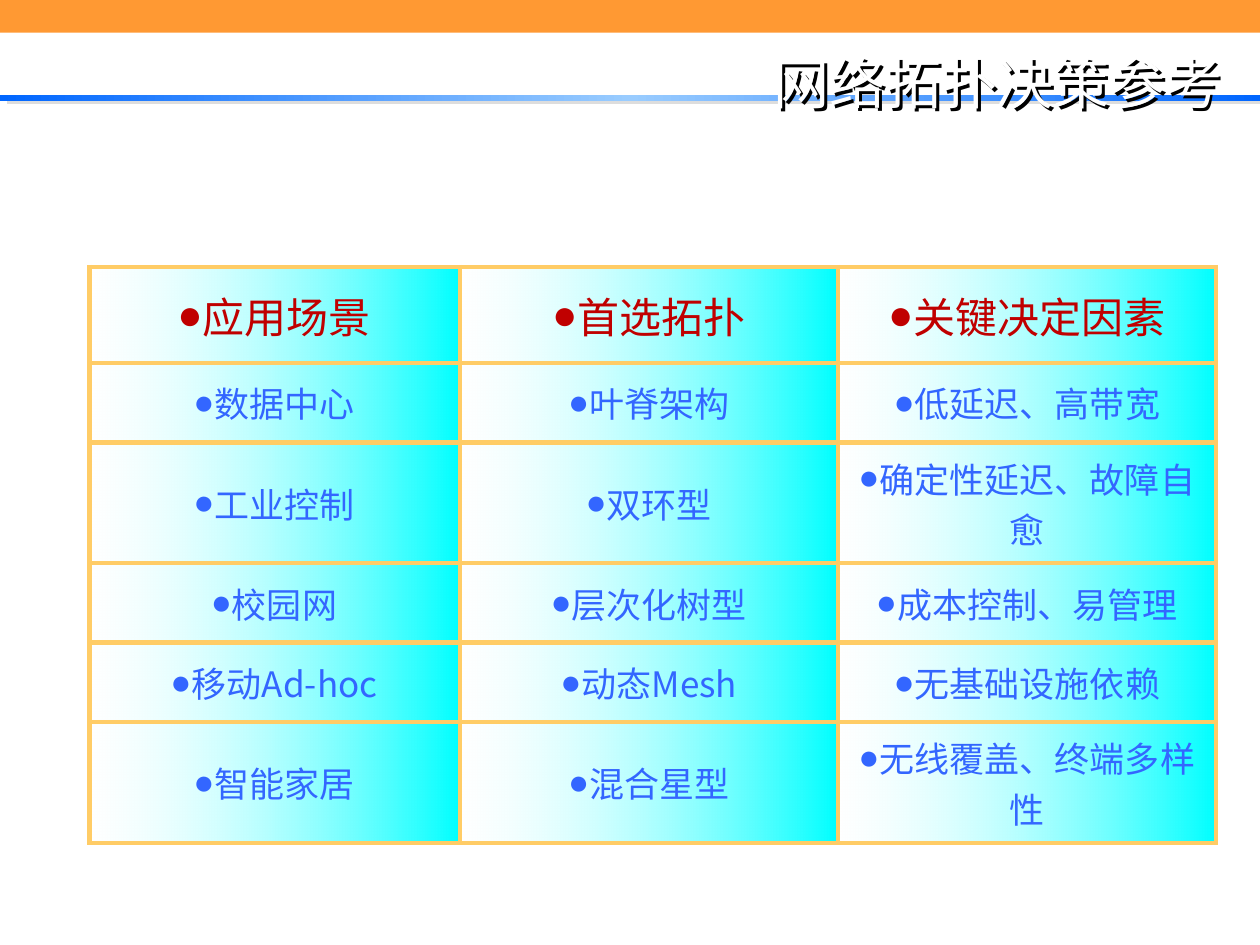
"""Build the network topology decision slide."""
from pptx import Presentation
from pptx.dml.color import RGBColor
from pptx.enum.shapes import MSO_SHAPE as Preset
from pptx.enum.text import MSO_ANCHOR as Anchor, PP_ALIGN as Align
from pptx.oxml import parse_xml
from pptx.oxml.ns import nsdecls
from pptx.util import Inches, Pt


def color(value):
    return RGBColor.from_string(value)


def write(frame, text, size, ink, align, font="Noto Sans CJK SC", bullet=False):
    para = frame.paragraphs[0]
    para.alignment = align
    if bullet:
        props = para._p.get_or_add_pPr()
        props.set("marL", "0")
        props.set("indent", "0")
        props.append(parse_xml(f'<a:buFont {nsdecls("a")} typeface="Arial"/>'))
        props.append(parse_xml(f'<a:buChar {nsdecls("a")} char="●"/>'))
    span = para.add_run()
    span.text = text
    span.font.size = Pt(size)
    span.font.color.rgb = color(ink)
    span.font.name = font
    span._r.rPr.append(parse_xml(f'<a:ea {nsdecls("a")} typeface="Noto Sans CJK SC"/>'))


GRADIENT = f'<a:gradFill {nsdecls("a")} rotWithShape="1"><a:gsLst>%s</a:gsLst><a:lin ang="0" scaled="1"/></a:gradFill>'
SHADOW = (f'<a:effectLst {nsdecls("a")}><a:outerShdw dist="%d" dir="%d" algn="ctr" rotWithShape="0">'
          '<a:srgbClr val="%s"/></a:outerShdw></a:effectLst>')
RULE_STOPS = "".join(f'<a:gs pos="{pos}"><a:srgbClr val="{tone}"/></a:gs>'
                     for pos, tone in ((0, "0066FF"), (50000, "99CCFF"), (100000, "0066FF")))
CELL_STOPS = ('<a:gs pos="0"><a:srgbClr val="FFFFFF"><a:alpha val="24000"/></a:srgbClr></a:gs>'
              '<a:gs pos="100000"><a:srgbClr val="00FFFF"/></a:gs>')
ROWS = [
    ("应用场景", "首选拓扑", "关键决定因素"),
    ("数据中心", "叶脊架构", "低延迟、高带宽"),
    ("工业控制", "双环型", "确定性延迟、故障自愈"),
    ("校园网", "层次化树型", "成本控制、易管理"),
    ("移动Ad-hoc", "动态Mesh", "无基础设施依赖"),
    ("智能家居", "混合星型", "无线覆盖、终端多样性"),
]
WIDTHS = [2.94, 3, 3]
HEIGHTS = [0.76, 0.63, 0.96, 0.63, 0.63, 0.96]

deck = Presentation()
deck.slide_width, deck.slide_height = Inches(10), Inches(7.5)
page = deck.slides.add_slide(deck.slide_layouts[6])

rule = page.shapes.add_shape(Preset.RECTANGLE, 0, Inches(0.75), deck.slide_width, Inches(0.05))
rule.line.fill.background()
rule._element.spPr.insert(2, parse_xml(GRADIENT % RULE_STOPS))
rule._element.spPr.append(parse_xml(SHADOW % (Pt(4.5), 27 * 60000, "DDDDDD")))

band = page.shapes.add_shape(Preset.RECTANGLE, 0, 0, deck.slide_width, Inches(0.26))
band.shadow.inherit = False
band.fill.solid()
band.fill.fore_color.rgb = color("FF9933")
band.line.fill.background()

title = page.shapes.add_textbox(Inches(1.38), Inches(0.36), Inches(8.42), Inches(0.59))
title._element.spPr.append(parse_xml(SHADOW % (Pt(2), 45 * 60000, "000000")))
title.text_frame.word_wrap = True
title.text_frame.vertical_anchor = Anchor.MIDDLE
write(title.text_frame, "网络拓扑决策参考", 32, "FFFFFF", Align.RIGHT, font="Arial")

table = page.shapes.add_table(len(ROWS), len(WIDTHS), Inches(0.71), Inches(2.12),
                              Inches(sum(WIDTHS)), Inches(sum(HEIGHTS))).table
table.first_row = table.horz_banding = False
for column, width in zip(table.columns, WIDTHS):
    column.width = Inches(width)
for index, (height, texts) in enumerate(zip(HEIGHTS, ROWS)):
    table.rows[index].height = Inches(height)
    size, ink = (24, "C00000") if index == 0 else (20, "3366FF")
    for place, text in enumerate(texts):
        cell = table.cell(index, place)
        cell.vertical_anchor = Anchor.MIDDLE
        cell.margin_left = Inches(0.08 if place else 0.07)
        cell.margin_right = cell.margin_top = cell.margin_bottom = Inches(0.08)
        write(cell.text_frame, text, size, ink, Align.CENTER, bullet=True)
        props = cell._tc.get_or_add_tcPr()
        for side in "LRTB":
            props.append(parse_xml(
                f'<a:ln{side} {nsdecls("a")} w="{Pt(3)}"><a:solidFill>'
                f'<a:srgbClr val="FFCC66"/></a:solidFill></a:ln{side}>'))
        props.append(parse_xml(GRADIENT % CELL_STOPS))

deck.save("out.pptx")
